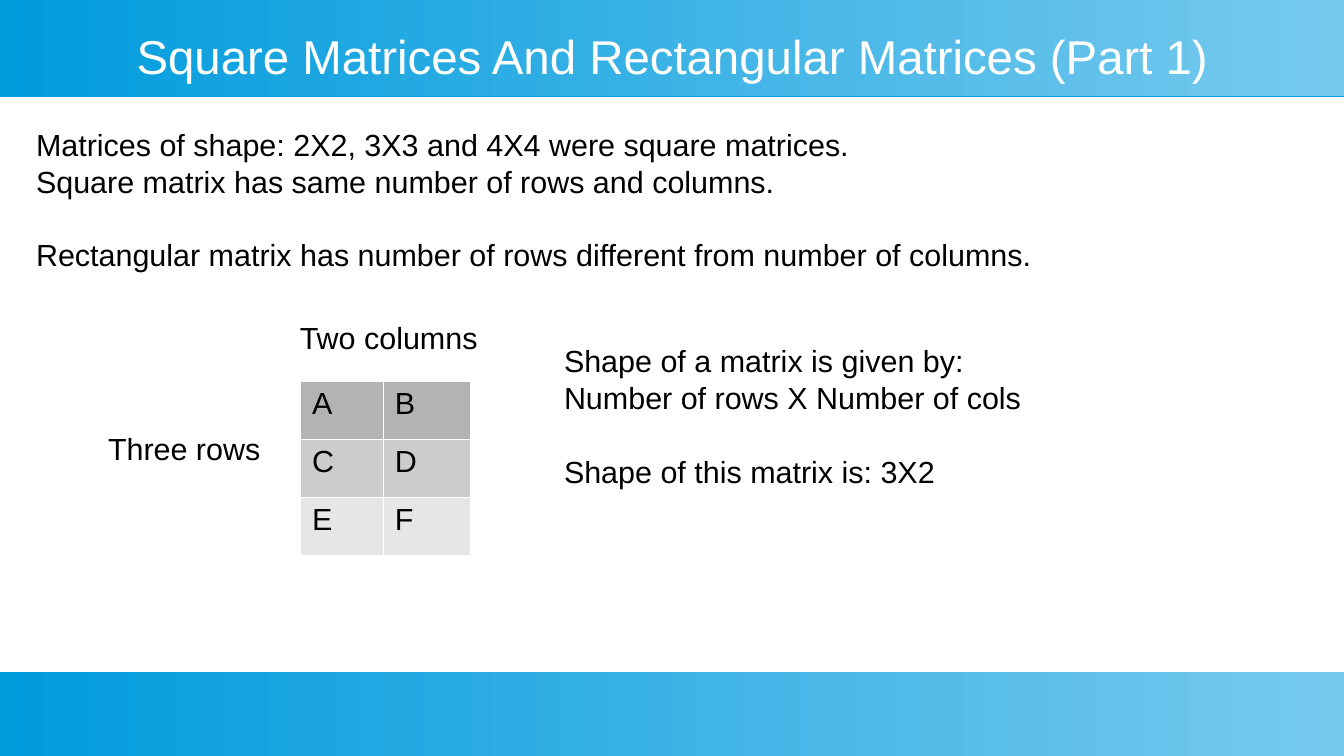
from dataclasses import dataclass

from lxml import etree
from pptx import Presentation
from pptx.dml.color import RGBColor
from pptx.enum import shapes, text
from pptx.oxml import ns
from pptx.util import Pt


@dataclass(frozen=True)
class Theme:
    font: str = "Arial"
    title_size: float = 28
    body_size: float = 18
    ink: str = "000000"
    white: str = "FFFFFF"
    band_left: str = "009BDD"
    band_right: str = "77CAEE"
    row_fills: tuple[str, ...] = ("B3B3B3", "CCCCCC", "E6E6E6")
    block_gap: float = 22
    border: float = 0.06


@dataclass(frozen=True)
class Box:
    left: float
    top: float
    width: float
    height: float

    def lengths(self) -> tuple[Pt, Pt, Pt, Pt]:
        return Pt(self.left), Pt(self.top), Pt(self.width), Pt(self.height)


@dataclass(frozen=True)
class Note:
    """Text whose blocks of lines are set apart by a gap."""
    box: Box
    blocks: tuple[tuple[str, ...], ...]


THEME = Theme()
SLIDE_WIDTH, SLIDE_HEIGHT = 793.7, 446.4
FOOTER_TOP = 396.8
BANDS = (
    Box(0, 0, SLIDE_WIDTH, 56.7),
    Box(0, FOOTER_TOP, SLIDE_WIDTH, SLIDE_HEIGHT - FOOTER_TOP),
)
TITLE = "Square Matrices And Rectangular Matrices (Part 1)"
TITLE_BOX = Box(28.3, 14.2, 737.2, 37.5)
NOTES = (
    Note(Box(14.2, 70.9, 652, 108), (
        ("Matrices of shape: 2X2, 3X3 and 4X4 were square matrices.",
         "Square matrix has same number of rows and columns."),
        ("Rectangular matrix has number of rows different from number of columns.",),
    )),
    Note(Box(170, 185, 127.5, 27.4), (("Two columns",),)),
    Note(Box(56.7, 250.4, 113.4, 47.5), (("Three rows",),)),
    Note(Box(326, 198.5, 396.9, 108), (
        ("Shape of a matrix is given by:", "Number of rows X Number of cols"),
        ("Shape of this matrix is: 3X2",),
    )),
)
MATRIX = ("AB", "CD", "EF")
MATRIX_LEFT, MATRIX_TOP = 177.2, 225
COLUMN_WIDTHS = (48.8, 51.8)
ROW_HEIGHT = 34.3


def style(paragraph, size: float, color: str) -> None:
    font = paragraph.font
    font.name, font.size = THEME.font, Pt(size)
    font.color.rgb = RGBColor.from_string(color)


def add_band(slide, box: Box) -> None:
    """Add a gradient bar with a thin, hard shadow below it."""
    band = slide.shapes.add_shape(shapes.MSO_SHAPE.RECTANGLE, *box.lengths())
    band.line.fill.background()
    band.fill.gradient()
    band.fill.gradient_angle = 0
    for stop, color in zip(band.fill.gradient_stops, (THEME.band_left, THEME.band_right)):
        stop.color.rgb = RGBColor.from_string(color)
    band.shadow.inherit = False
    effects = band.element.spPr.find(ns.qn("a:effectLst"))
    shadow = etree.SubElement(effects, ns.qn("a:outerShdw"), blurRad="0",
                              dist=str(Pt(0.9)), dir="5400000", rotWithShape="0")
    etree.SubElement(shadow, ns.qn("a:srgbClr"), val=THEME.band_left)


def set_title(slide) -> None:
    title = slide.shapes.title
    title.left, title.top, title.width, title.height = TITLE_BOX.lengths()
    frame = title.text_frame
    frame.text = TITLE
    frame.margin_left = frame.margin_top = frame.margin_right = frame.margin_bottom = 0
    frame.vertical_anchor = text.MSO_ANCHOR.MIDDLE
    frame.auto_size = text.MSO_AUTO_SIZE.NONE
    heading = frame.paragraphs[0]
    heading.alignment = text.PP_ALIGN.CENTER
    style(heading, THEME.title_size, THEME.white)
    title.element.getparent().append(title.element)  # in front of the band


def add_note(slide, note: Note) -> None:
    frame = slide.shapes.add_textbox(*note.box.lengths()).text_frame
    frame.word_wrap = True
    frame.text = "\n".join(line for block in note.blocks for line in block)
    for paragraph in frame.paragraphs:
        style(paragraph, THEME.body_size, THEME.ink)
    block_start = 0
    for block in note.blocks[:-1]:
        block_start += len(block)
        frame.paragraphs[block_start].space_before = Pt(THEME.block_gap)


def add_borders(cell) -> None:
    properties = cell._tc.get_or_add_tcPr()
    for index, side in enumerate(("a:lnL", "a:lnR", "a:lnT", "a:lnB")):
        line = etree.Element(ns.qn(side), w=str(Pt(THEME.border)))
        fill = etree.SubElement(line, ns.qn("a:solidFill"))
        etree.SubElement(fill, ns.qn("a:srgbClr"), val=THEME.white)
        properties.insert(index, line)


def add_matrix(slide) -> None:
    box = Box(MATRIX_LEFT, MATRIX_TOP, sum(COLUMN_WIDTHS), ROW_HEIGHT * len(MATRIX))
    matrix = slide.shapes.add_table(len(MATRIX), len(COLUMN_WIDTHS), *box.lengths()).table
    matrix.first_row = matrix.horz_banding = False
    for column, width in zip(matrix.columns, COLUMN_WIDTHS):
        column.width = Pt(width)
    for row, letters, shade in zip(matrix.rows, MATRIX, THEME.row_fills):
        row.height = Pt(ROW_HEIGHT)
        for cell, letter in zip(row.cells, letters):
            cell.text = letter
            cell.fill.solid()
            cell.fill.fore_color.rgb = RGBColor.from_string(shade)
            style(cell.text_frame.paragraphs[0], THEME.body_size, THEME.ink)
            add_borders(cell)


def main() -> None:
    deck = Presentation()
    deck.slide_width, deck.slide_height = Pt(SLIDE_WIDTH), Pt(SLIDE_HEIGHT)
    slide = deck.slides.add_slide(deck.slide_layouts.get_by_name("Title Only"))
    for band in BANDS:
        add_band(slide, band)
    set_title(slide)
    add_matrix(slide)
    for note in NOTES:
        add_note(slide, note)
    deck.save("out.pptx")


if __name__ == "__main__":
    main()
